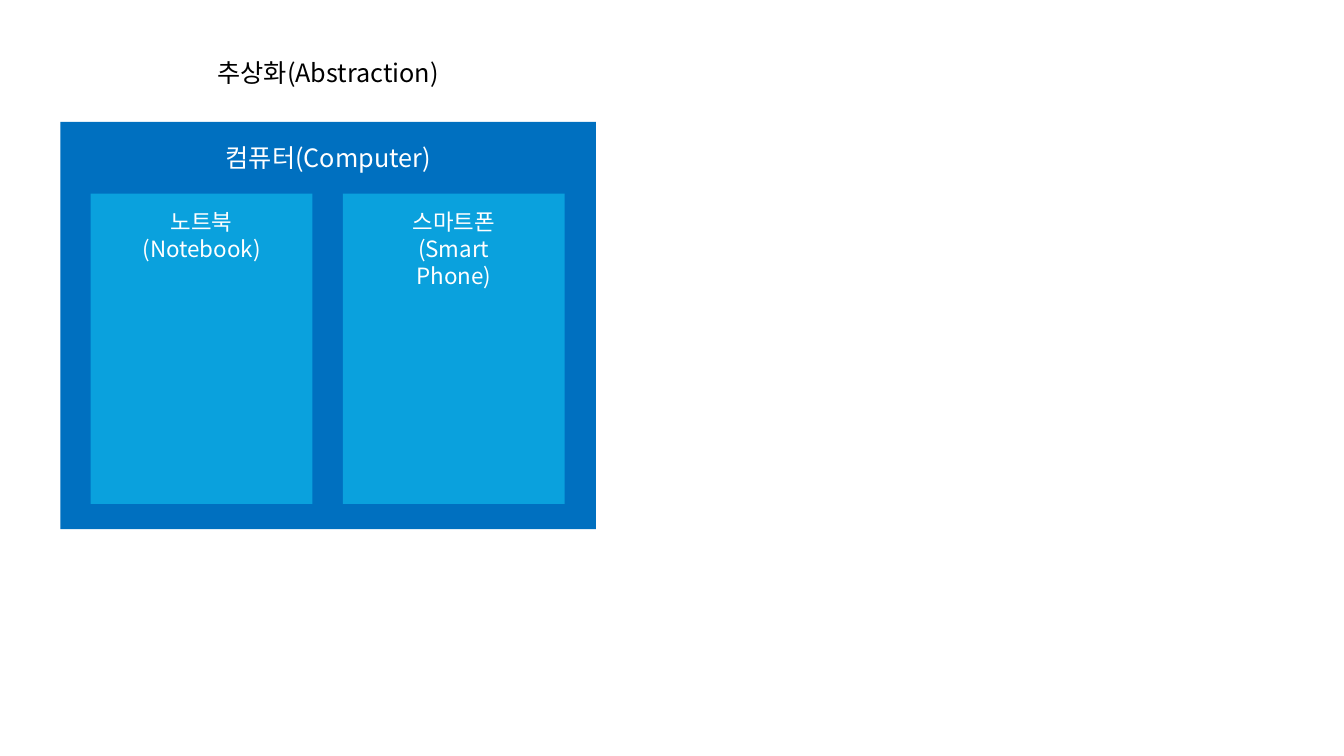
import pptx
import pptx.dml.color
import pptx.enum.shapes
import pptx.enum.text
import pptx.oxml
import pptx.oxml.ns
import pptx.util

FONT = "Noto Sans CJK KR"
CELL = 0.1
COMPUTER_LEFT, COMPUTER_WIDTH = 6, 53.1
DEVICE_LEFT, DEVICE_TOP, DEVICE_WIDTH, DEVICE_HEIGHT = 9, 19.2, 22, 30.8
DEVICE_STEP = 25
DEVICE_LABEL_WIDTH = 15.9
DEVICES = ["노트북(Notebook)", "스마트폰(Smart Phone)"]


def color(hex_value):
    return pptx.dml.color.RGBColor.from_string(hex_value)


def cells(*counts):
    return [pptx.util.Inches(count * CELL) for count in counts]


def add_block(slide, left, top, width, height, fill):
    shape = slide.shapes.add_shape(
        pptx.enum.shapes.MSO_SHAPE.RECTANGLE, *cells(left, top, width, height)
    )
    shape.shadow.inherit = False
    shape.fill.solid()
    shape.fill.fore_color.rgb = color(fill)
    shape.line.fill.background()


def add_label(slide, text, center, top, width, height, size=18, font_color="FFFFFF"):
    box = slide.shapes.add_textbox(*cells(center - width / 2, top, width, height))
    frame = box.text_frame
    frame.word_wrap = True
    frame.auto_size = pptx.enum.text.MSO_AUTO_SIZE.SHAPE_TO_FIT_TEXT
    paragraph = frame.paragraphs[0]
    paragraph.alignment = pptx.enum.text.PP_ALIGN.CENTER
    run = paragraph.add_run()
    run.text = text
    run.font.size = pptx.util.Pt(size)
    run.font.color.rgb = color(font_color)
    run.font.name = FONT
    east_asian = pptx.oxml.parse_xml(
        f'<a:ea {pptx.oxml.ns.nsdecls("a")} typeface="{FONT}"/>'
    )
    run.font._element.append(east_asian)


def add_device(slide, name, column):
    left = DEVICE_LEFT + column * DEVICE_STEP
    add_block(slide, left, DEVICE_TOP, DEVICE_WIDTH, DEVICE_HEIGHT, "0AA1DD")
    add_label(slide, name, left + DEVICE_WIDTH / 2, DEVICE_TOP + 1,
              DEVICE_LABEL_WIDTH, 6.4, size=16)


def main():
    presentation = pptx.Presentation()
    presentation.slide_width = pptx.util.Inches(13.33)
    presentation.slide_height = pptx.util.Inches(7.5)
    slide = presentation.slides.add_slide(presentation.slide_layouts[6])

    center = COMPUTER_LEFT + COMPUTER_WIDTH / 2
    add_label(slide, "추상화(Abstraction)", center, 5.2, 27.2, 4, font_color="000000")
    add_block(slide, COMPUTER_LEFT, 12.1, COMPUTER_WIDTH, 40.4, "0070C0")
    add_label(slide, "컴퓨터(Computer)", center, 13.6, 26.1, 4)
    for column, name in enumerate(DEVICES):
        add_device(slide, name, column)

    presentation.save("out.pptx")


if __name__ == "__main__":
    main()
